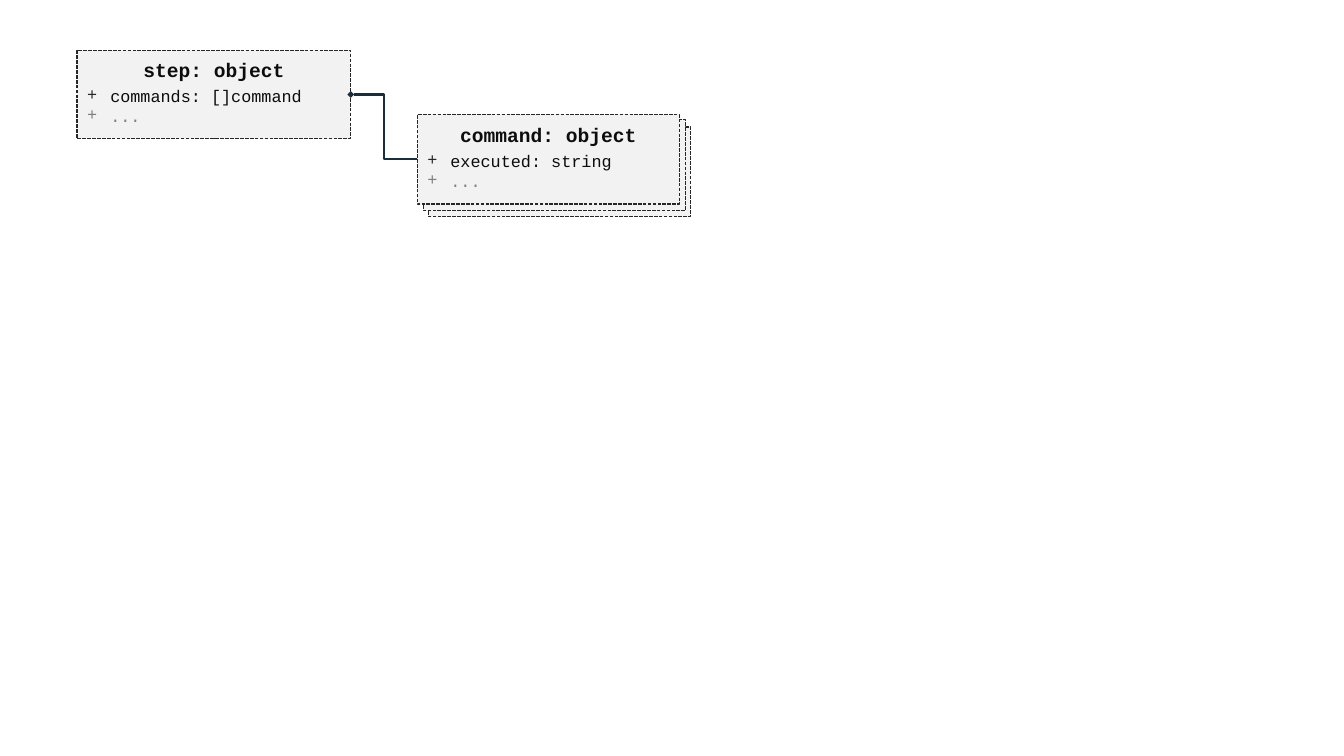
"""Draw a class diagram: a step object that owns a stack of command objects."""
from lxml.etree import SubElement
from pptx import Presentation
from pptx.dml.color import RGBColor
from pptx.enum.dml import MSO_LINE
from pptx.enum.shapes import MSO_CONNECTOR, MSO_SHAPE
from pptx.enum.text import MSO_ANCHOR, PP_ALIGN
from pptx.oxml.ns import qn
from pptx.util import Pt

FILL = RGBColor(0xF2, 0xF2, 0xF2)
BORDER = RGBColor(0x26, 0x26, 0x26)
TEXT = RGBColor(0x0D, 0x0D, 0x0D)
MUTED = RGBColor(0x80, 0x80, 0x80)
LINK = RGBColor(0x1A, 0x2D, 0x3A)
FONT = "Courier New"


def add_card(shapes, left, top, width, height):
    sp = shapes.add_shape(MSO_SHAPE.RECTANGLE, Pt(left), Pt(top), Pt(width), Pt(height))
    sp.shadow.inherit = False
    sp.fill.solid()
    sp.fill.fore_color.rgb = FILL
    sp.line.color.rgb = BORDER
    sp.line.width = Pt(1.75)
    sp.line.dash_style = MSO_LINE.SQUARE_DOT
    return sp


def add_bullet(p, color):
    pPr = p._p.get_or_add_pPr()
    pPr.set("marL", str(Pt(33)))
    pPr.set("indent", str(Pt(-33)))
    clr = SubElement(pPr, qn("a:buClr"))
    SubElement(clr, qn("a:srgbClr"), val=str(color))
    SubElement(pPr, qn("a:buFont"), typeface=FONT)
    SubElement(pPr, qn("a:buChar"), char="+")


prs = Presentation()
prs.slide_width, prs.slide_height = Pt(1920.24), Pt(1080)
s = prs.slides.add_slide(prs.slide_layouts[6])

step = add_card(s.shapes, 110.16, 72, 390.96, 126)
stack = s.shapes.add_group_shape()
add_card(stack.shapes, 612, 181.44, 374.4, 128.16)
add_card(stack.shapes, 604.8, 170.64, 374.4, 130.32)
command = add_card(stack.shapes, 596.16, 163.44, 374.4, 128.16)

for sp, title, field in (
    (step, "step: object", "commands: []command"),
    (command, "command: object", "executed: string"),
):
    tf = sp.text_frame
    tf.word_wrap = True
    tf.vertical_anchor = MSO_ANCHOR.MIDDLE
    tf.margin_left = tf.margin_right = tf.margin_bottom = Pt(14.4)
    tf.margin_top = Pt(7.2)
    tf.text = "\n".join((title, field, "..."))
    heading, member, more = tf.paragraphs
    heading.alignment = PP_ALIGN.CENTER
    heading.space_after = Pt(6)
    for p, color in ((member, BORDER), (more, MUTED)):
        p.alignment = PP_ALIGN.LEFT
        add_bullet(p, color)
    for p, size, color in ((heading, 28, TEXT), (member, 24, TEXT), (more, 24, MUTED)):
        r = p.runs[0]
        r.font.name = FONT
        r.font.size = Pt(size)
        r.font.bold = p is heading
        r.font.color.rgb = color

link = s.shapes.add_connector(MSO_CONNECTOR.ELBOW, Pt(501.12), Pt(135), Pt(596.16), Pt(227.52))
link.begin_connect(step, 3)
link.end_connect(command, 1)
link.line.color.rgb = LINK
link.line.width = Pt(3.25)
SubElement(link.line._get_or_add_ln(), qn("a:headEnd"), type="diamond")
SubElement(link._element.spPr, qn("a:effectLst"))

prs.save("out.pptx")
